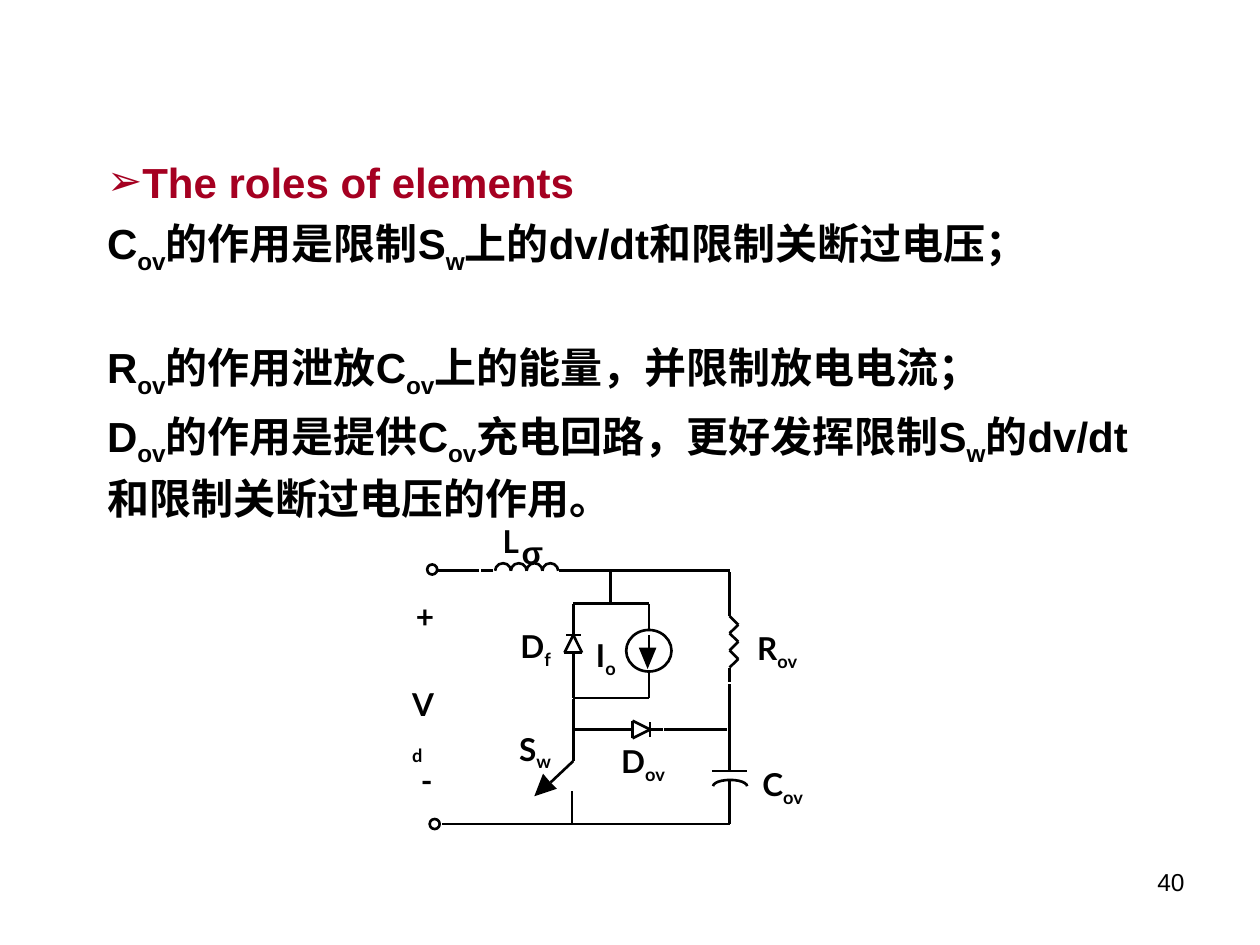
from lxml.etree import SubElement as Sub
from pptx import Presentation
from pptx.dml.color import RGBColor as Rgb
from pptx.enum.shapes import MSO_CONNECTOR as Conn, MSO_SHAPE as Geo
from pptx.enum.text import MSO_AUTO_SIZE as Fit, PP_ALIGN as Align
from pptx.oxml.ns import qn
from pptx.util import Inches, Pt

COLS, ROWS = 100, 75
CELL = Inches(10) // COLS
INK = {"black": "000000", "red": "A50021"}
PEN = Pt(1.5)
HALF_ARC = (108, 0)
SLACK = 0.6

WIRES = [
    [(34.8, 45.3), (38, 45.3)],
    [(38.2, 45.3), (39.1, 45.3)],
    [(44.4, 45.3), (57.9, 45.3)],
    [(48.45, 45.3), (48.45, 47.9)],
    [(45.5, 49.4), (45.5, 47.9), (51.5, 47.9), (51.5, 50)],
    [(51.5, 53.3), (51.5, 55.4), (45.5, 55.4), (45.5, 52.8)],
    [(51.5, 50.4), (51.5, 51.5)],
    [(45.5, 55.5), (45.5, 60.4), (43.7, 62.1)],
    [(45.4, 62.8), (45.4, 65.4)],
    [(45.5, 57.9), (49.3, 57.9)],
    [(52.7, 57.9), (57.7, 57.9)],
    [(57.9, 45.4), (57.9, 48.9)],
    [(57.9, 53), (57.9, 54.1)],
    [(57.9, 54.3), (57.9, 61.2)],
    [(56.5, 61.2), (59.3, 61.2)],
    [(57.9, 61.9), (57.9, 65.4), (35.1, 65.4)],
]
HEADS = [
    [(43.6, 62), (43.1, 61.4), (42.4, 63.2), (44.2, 62.6)],
    [(50.7, 51.4), (51.4, 53.1), (52.1, 51.4)],
]
RINGS = [(49.7, 50, 3.6, 3.3), (33.9, 44.8, 0.8, 0.8), (34.1, 65, 0.8, 0.8)]
LABELS = [
    (33, 47.4, 1.4, [["+"]], "Lato"),
    (33.4, 60.4, 0.8, [["-"]], "Lato"),
    (32.7, 54.4, 2.6, [["V"], ["", "d"]], "Lato"),
    (39.9, 41.4, 1.4, [["L"]], "Lato"),
    (41.4, 42.3, 1.5, [["σ"]], "Arial"),
    (41.3, 49.8, 2.6, [["D", "f"]], "Lato"),
    (47.3, 50.5, 1.9, [["I", "o"]], "Lato"),
    (60.1, 49.9, 3.4, [["R", "ov"]], "Lato"),
    (60.5, 60.7, 3.3, [["C", "ov"]], "Lato"),
    (49.3, 58.9, 3.6, [["D", "ov"]], "Lato"),
    (41.2, 57.9, 2.6, [["S", "w"]], "Lato"),
]
ROLES = [
    (0, "red", ["The roles of elements"]),
    (3, "black", ["C", "ov", "的作用是限制S", "w", "上的dv/dt和限制关断过电压；"]),
    (35, "black", ["R", "ov", "的作用泄放C", "ov", "上的能量，并限制放电电流；"]),
    (3, "black", ["D", "ov", "的作用是提供C", "ov", "充电回路，更好发挥限制S", "w",
                  "的dv/dt和限制关断过电压的作用。"]),
]


def grid(*cells):
    return [round(c * CELL) for c in cells]


def rgb(name):
    return Rgb.from_string(INK[name])


def write(para, parts, size, face="Arial", ink="black", bold=True):
    for i, part in enumerate(parts):
        if not part:
            continue
        run = para.add_run()
        run.text = part
        font = run.font
        font.size, font.name, font.bold = Pt(size), face, bold
        font.color.rgb = rgb(ink)
        if i % 2:
            font._element.set("baseline", "-25000")


def stroke(shape):
    shape.line.color.rgb = rgb("black")
    shape.line.width = PEN


def wire(art, points):
    for a, b in zip(points, points[1:]):
        line = art.add_connector(Conn.STRAIGHT, *grid(*a, *b))
        stroke(line)
        Sub(line._element.spPr, qn("a:effectLst"))


def curve(art, kind, box, turns=()):
    shape = art.add_shape(kind, *grid(*box))
    for i, turn in enumerate(turns):
        shape.adjustments[i] = turn
    shape.fill.background()
    stroke(shape)
    shape.shadow.inherit = False


def head(art, points):
    pen = art.build_freeform(*grid(*points[0]))
    pen.add_line_segments([grid(*p) for p in points[1:]])
    shape = pen.convert_to_shape()
    shape.fill.solid()
    shape.fill.fore_color.rgb = rgb("black")
    shape.line.fill.background()
    shape.shadow.inherit = False


def diode(art, tip, dx, dy):
    def spot(along, side):
        return (tip[0] + along * dx - side * dy, tip[1] + along * dy + side * dx)

    wire(art, [tip, spot(-1.4, 0.7), spot(-1.4, -0.7), tip])
    wire(art, [spot(0, 0.6), spot(0, -0.6)])
    wire(art, [tip, spot(1, 0)])
    wire(art, [spot(-1.4, 0), spot(-2.4, 0)])


def coil(art, left, top, pitch, count):
    for i in range(count):
        curve(art, Geo.ARC, (left + i * pitch, top, pitch, 1.2), HALF_ARC)


def zigzag(art, left, top, step, count):
    wire(art, [(left + 0.7 * (i % 2), top + i * step) for i in range(count + 1)])


def label(art, left, top, width, lines, face):
    box = art.add_textbox(*grid(left, top, width + SLACK, 3 * len(lines)))
    frame = box.text_frame
    frame.margin_left = frame.margin_right = frame.margin_top = frame.margin_bottom = 0
    frame.word_wrap = False
    frame.auto_size = Fit.SHAPE_TO_FIT_TEXT
    for i, parts in enumerate(lines):
        para = frame.add_paragraph() if i else frame.paragraphs[0]
        write(para, parts, 18, face)


def bullet(para, ink):
    props = para._p.get_or_add_pPr()
    props.set("marL", "0")
    props.set("indent", "0")
    if ink == "red":
        Sub(Sub(props, qn("a:buClr")), qn("a:srgbClr"), val=INK[ink])
        Sub(props, qn("a:buChar"), char="➢")
    else:
        Sub(props, qn("a:buNone"))


def roles(body):
    body.left, body.top, body.width, body.height = grid(7.5, 11.5, 85.1, 30.5)
    frame = body.text_frame
    frame.auto_size = Fit.NONE
    for i, (gap, ink, parts) in enumerate(ROLES):
        para = frame.add_paragraph() if i else frame.paragraphs[0]
        bullet(para, ink)
        para.line_spacing = 1.1
        para.space_before = Pt(gap)
        write(para, parts, 24, ink=ink)


def circuit(art):
    for points in WIRES:
        wire(art, points)
    for points in HEADS:
        head(art, points)
    for box in RINGS:
        curve(art, Geo.OVAL, box)
    coil(art, 39.3, 44.7, 1.25, 4)
    curve(art, Geo.ARC, (56.6, 61.9, 2.7, 1), HALF_ARC)
    zigzag(art, 57.9, 48.9, 0.68, 6)
    diode(art, (45.5, 50.4), 0, -1)
    diode(art, (51.6, 57.9), 1, 0)
    for item in LABELS:
        label(art, *item)


def number(shapes):
    frame = shapes.add_textbox(*grid(71.7, 68.3, 23.3, 5.2)).text_frame
    frame.word_wrap = True
    para = frame.paragraphs[0]
    para.alignment = Align.RIGHT
    write(para, ["40"], 14, bold=False)


def main():
    deck = Presentation()
    deck.slide_width, deck.slide_height = grid(COLS, ROWS)
    slide = deck.slides.add_slide(deck.slide_layouts[1])
    title = slide.shapes.title._element
    title.getparent().remove(title)
    roles(slide.placeholders[1])
    number(slide.shapes)
    circuit(slide.shapes.add_group_shape().shapes)
    deck.save("out.pptx")


if __name__ == "__main__":
    main()
